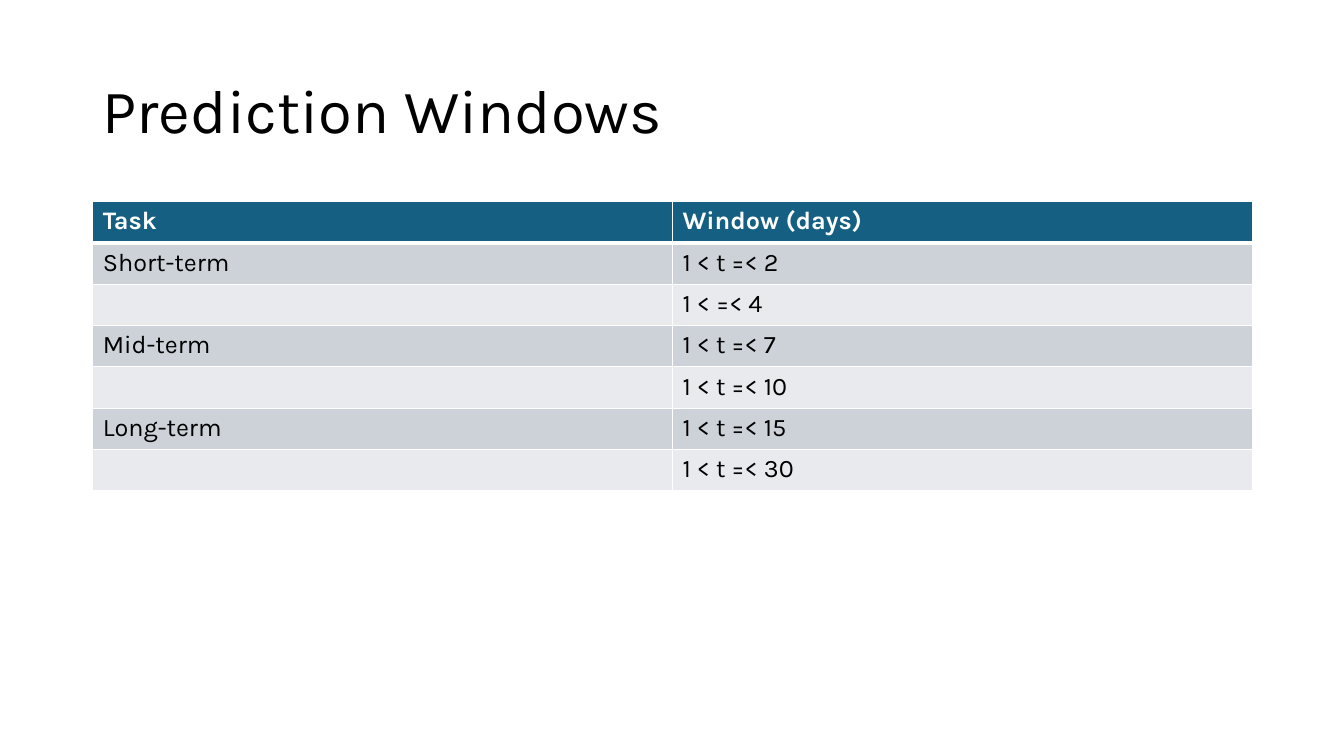
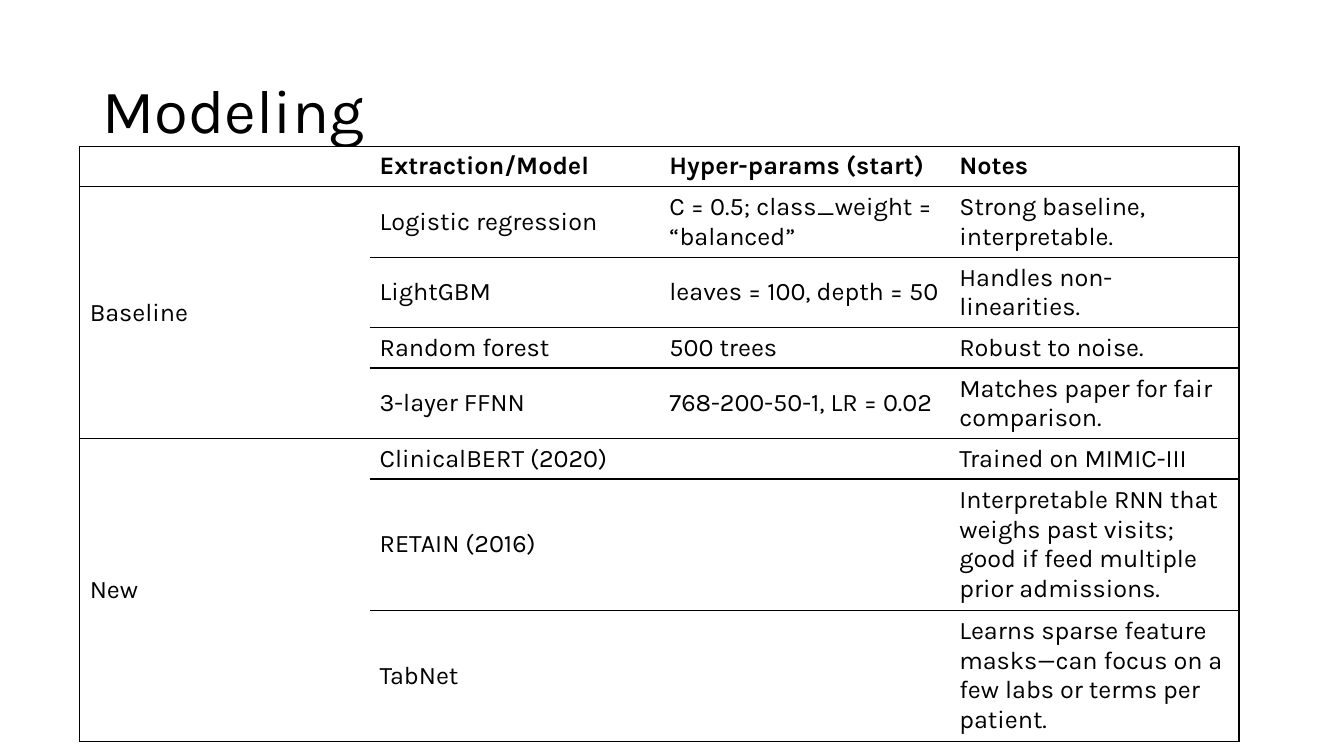
from dataclasses import dataclass

from lxml import etree
from pptx import Presentation
from pptx.dml.color import RGBColor
from pptx.enum import text
from pptx.oxml import ns
from pptx.util import Inches, Pt


@dataclass(frozen=True)
class Theme:
    font: str = "Karla"
    title_size: int = 44
    table_size: int = 18
    black: str = "000000"
    white: str = "FFFFFF"
    header: str = "156082"
    bands: tuple = ("CCD2D8", "E8EAED")
    thin: int = 1
    thick: int = 3


THEME = Theme()

WINDOWS = [
    ("Task", "Window (days)"),
    ("Short-term", "1 < t =< 2"),
    ("", "1 < =< 4"),
    ("Mid-term", "1 < t =< 7"),
    ("", "1 < t =< 10"),
    ("Long-term", "1 < t =< 15"),
    ("", "1 < t =< 30"),
]

MODEL_HEADER = ("", "Extraction/Model", "Hyper-params (start)", "Notes")
MODEL_GROUPS = {
    "Baseline": [
        ("Logistic regression", "C = 0.5; class_weight = “balanced”", "Strong baseline, interpretable."),
        ("LightGBM", "leaves = 100, depth = 50", "Handles non-linearities."),
        ("Random forest", "500 trees", "Robust to noise."),
        ("3-layer FFNN", "768-200-50-1, LR = 0.02", "Matches paper for fair comparison."),
    ],
    "New": [
        ("ClinicalBERT (2020)", "", "Trained on MIMIC-III"),
        ("RETAIN (2016)", "", "Interpretable RNN that weighs past visits; good if feed multiple prior admissions."),
        ("TabNet", "", "Learns sparse feature masks—can focus on a few labs or terms per patient."),
    ],
}
MODEL_LINES = [1, 2, 2, 1, 2, 1, 4, 4]
LINE_HEIGHTS = {1: 0.39, 2: 0.69, 4: 1.28}


def style(paragraph, size, color, bold=False):
    font = paragraph.font
    font.name = THEME.font
    font.size = Pt(size)
    font.bold = bold
    font.color.rgb = RGBColor.from_string(color)


def add_page(deck, title):
    page = deck.slides.add_slide(deck.slide_layouts[6])
    box = page.shapes.add_textbox(Inches(0.92), Inches(0.4), Inches(11.5), Inches(1.45))
    frame = box.text_frame
    frame.word_wrap = True
    frame.vertical_anchor = text.MSO_ANCHOR.MIDDLE
    paragraph = frame.paragraphs[0]
    paragraph.text = title
    paragraph.line_spacing = 0.9
    style(paragraph, THEME.title_size, THEME.black)
    return page


def add_grid(page, left, top, row_heights, column_count, has_header_style):
    width = 11.5
    frame = page.shapes.add_table(
        len(row_heights), column_count,
        Inches(left), Inches(top), Inches(width), Inches(sum(row_heights)),
    )
    table = frame.table
    table.first_row = has_header_style
    table.horz_banding = False
    for column in table.columns:
        column.width = Inches(width / column_count)
    for row, height in zip(table.rows, row_heights):
        row.height = Inches(height)
    return table


def set_borders(cell, color, widths):
    properties = cell._tc.get_or_add_tcPr()
    for side, width in zip("LRTB", widths):
        line = etree.SubElement(properties, ns.qn(f"a:ln{side}"), w=str(Pt(width)))
        if width:
            solid = etree.SubElement(line, ns.qn("a:solidFill"))
            etree.SubElement(solid, ns.qn("a:srgbClr"), val=color)
        else:
            etree.SubElement(line, ns.qn("a:noFill"))


def fill_cell(cell, words, fill, color, bold, anchor):
    cell.fill.solid()
    cell.fill.fore_color.rgb = RGBColor.from_string(fill)
    cell.vertical_anchor = anchor
    paragraph = cell.text_frame.paragraphs[0]
    paragraph.text = words
    style(paragraph, THEME.table_size, color, bold)


def add_windows_page(deck):
    page = add_page(deck, "Prediction Windows")
    table = add_grid(page, 0.92, 2, [0.41] * len(WINDOWS), 2, True)
    for row, values in enumerate(WINDOWS):
        is_header = row == 0
        fill = THEME.header if is_header else THEME.bands[(row - 1) % 2]
        color = THEME.white if is_header else THEME.black
        above = THEME.thick if row == 1 else THEME.thin
        below = THEME.thick if is_header else THEME.thin
        for column, words in enumerate(values):
            cell = table.cell(row, column)
            set_borders(cell, THEME.white, (THEME.thin, THEME.thin, above, below))
            fill_cell(cell, words, fill, color, is_header, text.MSO_ANCHOR.TOP)


def add_modeling_page(deck):
    page = add_page(deck, "Modeling")
    rows = [MODEL_HEADER]
    heights = [LINE_HEIGHTS[count] for count in MODEL_LINES]
    last_column = len(MODEL_HEADER) - 1
    table = add_grid(page, 0.79, 1.45, heights, len(MODEL_HEADER), False)
    for group, models in MODEL_GROUPS.items():
        first = len(rows)
        rows += [(group if index == 0 else "", *model) for index, model in enumerate(models)]
        table.cell(first, 0).merge(table.cell(len(rows) - 1, 0))
    for row, values in enumerate(rows):
        for column, words in enumerate(values):
            cell = table.cell(row, column)
            rule = 0 if cell.is_spanned else THEME.thin
            left = THEME.thin if column == 0 else 0
            right = THEME.thin if column == last_column else 0
            set_borders(cell, THEME.black, (left, right, rule, rule))
            fill_cell(cell, words, THEME.white, THEME.black, row == 0, text.MSO_ANCHOR.MIDDLE)


def main():
    deck = Presentation()
    deck.slide_width = Inches(13.33)
    deck.slide_height = Inches(7.5)
    add_windows_page(deck)
    add_modeling_page(deck)
    deck.save("out.pptx")


if __name__ == "__main__":
    main()
